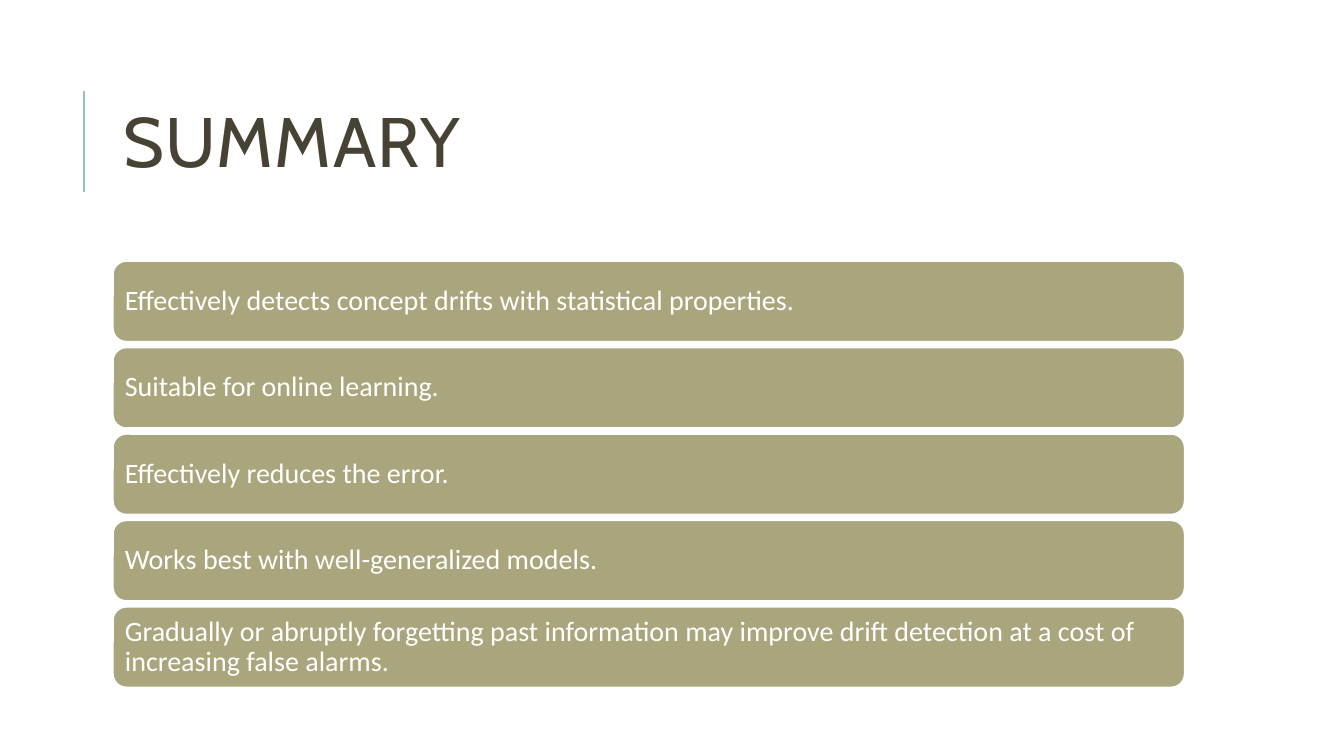
"""Build the summary slide: a ruled title above a stack of rounded statements."""
import pptx
import pptx.dml.color
import pptx.enum.shapes
import pptx.enum.text
import pptx.util
from dataclasses import dataclass
from lxml import etree

TITLE = "SUMMARY"
POINTS = [
    "Effectively detects concept drifts with statistical properties.",
    "Suitable for online learning.",
    "Effectively reduces the error.",
    "Works best with well-generalized models.",
    "Gradually or abruptly forgetting past information may improve drift "
    "detection at a cost of increasing false alarms.",
]


@dataclass(frozen=True)
class Theme:
    """Colours, fonts and type sizes."""
    heading: str = "474233"
    rule: str = "9CBEBD"
    bar: str = "A9A57C"
    light: str = "FFFFFF"
    heading_font: str = "Cabin"
    body_font: str = "Calibri"
    heading_size: int = 50
    body_size: int = 20


THEME = Theme()
WIDTH, HEIGHT = 13.33, 7.5
LEFT, COLUMN = 1.12, 10.63
TITLE_TOP, TITLE_HEIGHT = 0.64, 1.64
RULE_X, RULE_TOP, RULE_BOTTOM = 0.83, 0.9, 1.9
BARS_TOP, BAR_HEIGHT, BAR_PITCH = 2.59, 0.78, 0.86
BAR_HEIGHT = 0.8
BAR_PITCH = (6.02 - BARS_TOP) / (len(POINTS) - 1)


def inches(*values):
    """Convert lengths in inches to slide units."""
    return [pptx.util.Inches(v) for v in values]


def rgb(value):
    """Return a colour from its hex value."""
    return pptx.dml.color.RGBColor.from_string(value)


def write(sp, text, *, font, size, color, leading, inset=None, tracking=None):
    """Write one left-aligned, vertically centred paragraph in a shape."""
    tf = sp.text_frame
    tf.word_wrap = True
    tf.auto_size = pptx.enum.text.MSO_AUTO_SIZE.NONE
    tf.vertical_anchor = pptx.enum.text.MSO_ANCHOR.MIDDLE
    if inset is not None:
        tf.margin_left = tf.margin_right = pptx.util.Inches(inset)
        tf.margin_top = tf.margin_bottom = pptx.util.Inches(inset)
    p = tf.paragraphs[0]
    p.alignment = pptx.enum.text.PP_ALIGN.LEFT
    p.line_spacing = leading
    r = p.add_run()
    r.text = text
    r.font.name = font
    r.font.size = pptx.util.Pt(size)
    r.font.color.rgb = rgb(color)
    if tracking is not None:
        r.font._element.set("spc", str(tracking * 100))


def add_rule(s):
    """Draw the vertical rule beside the title."""
    line = s.shapes.add_connector(
        pptx.enum.shapes.MSO_CONNECTOR.STRAIGHT,
        *inches(RULE_X, RULE_BOTTOM, RULE_X, RULE_TOP))
    line.line.color.rgb = rgb(THEME.rule)
    line.line.width = pptx.util.Pt(1.5)
    etree.SubElement(line._element.spPr, pptx.oxml.ns.qn("a:effectLst"))


def add_title(s):
    """Place and format the title placeholder."""
    sp = s.shapes.title
    sp.left, sp.top, sp.width, sp.height = inches(
        LEFT, TITLE_TOP, COLUMN, TITLE_HEIGHT)
    write(sp, TITLE, font=THEME.heading_font, size=THEME.heading_size,
          color=THEME.heading, leading=0.8, tracking=1)


def add_bar(s, row, text):
    """Add one rounded statement at its row."""
    sp = s.shapes.add_shape(
        pptx.enum.shapes.MSO_SHAPE.ROUNDED_RECTANGLE,
        *inches(LEFT, BARS_TOP + row * BAR_PITCH, COLUMN, BAR_HEIGHT))
    sp.shadow.inherit = False
    sp.fill.solid()
    sp.fill.fore_color.rgb = rgb(THEME.bar)
    sp.line.color.rgb = rgb(THEME.light)
    sp.line.width = pptx.util.Pt(1.25)
    write(sp, text, font=THEME.body_font, size=THEME.body_size,
          color=THEME.light, leading=0.9, inset=0.08)


def main():
    """Assemble and save the slide."""
    prs = pptx.Presentation()
    prs.slide_width, prs.slide_height = inches(WIDTH, HEIGHT)
    s = prs.slides.add_slide(prs.slide_layouts.get_by_name("Title Only"))
    add_rule(s)
    add_title(s)
    for row, text in enumerate(POINTS):
        add_bar(s, row, text)
    prs.save("out.pptx")


if __name__ == "__main__":
    main()
